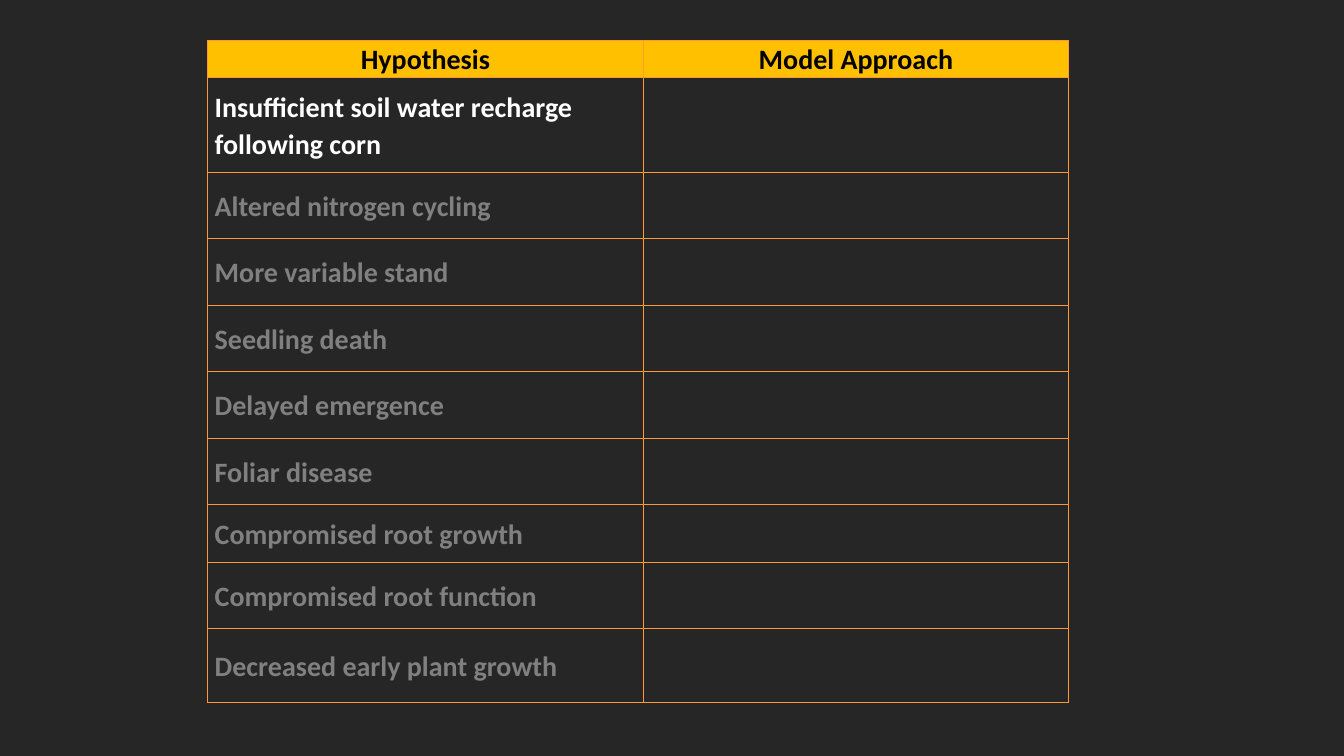
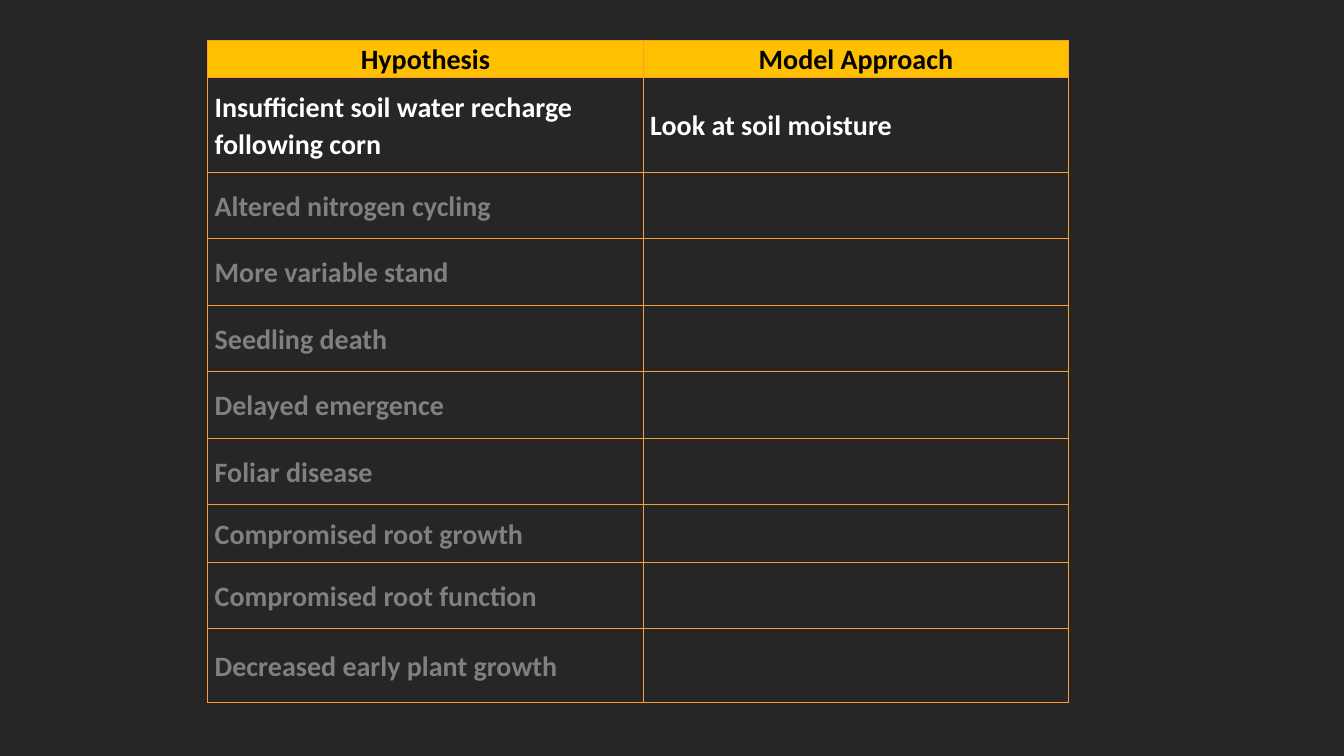
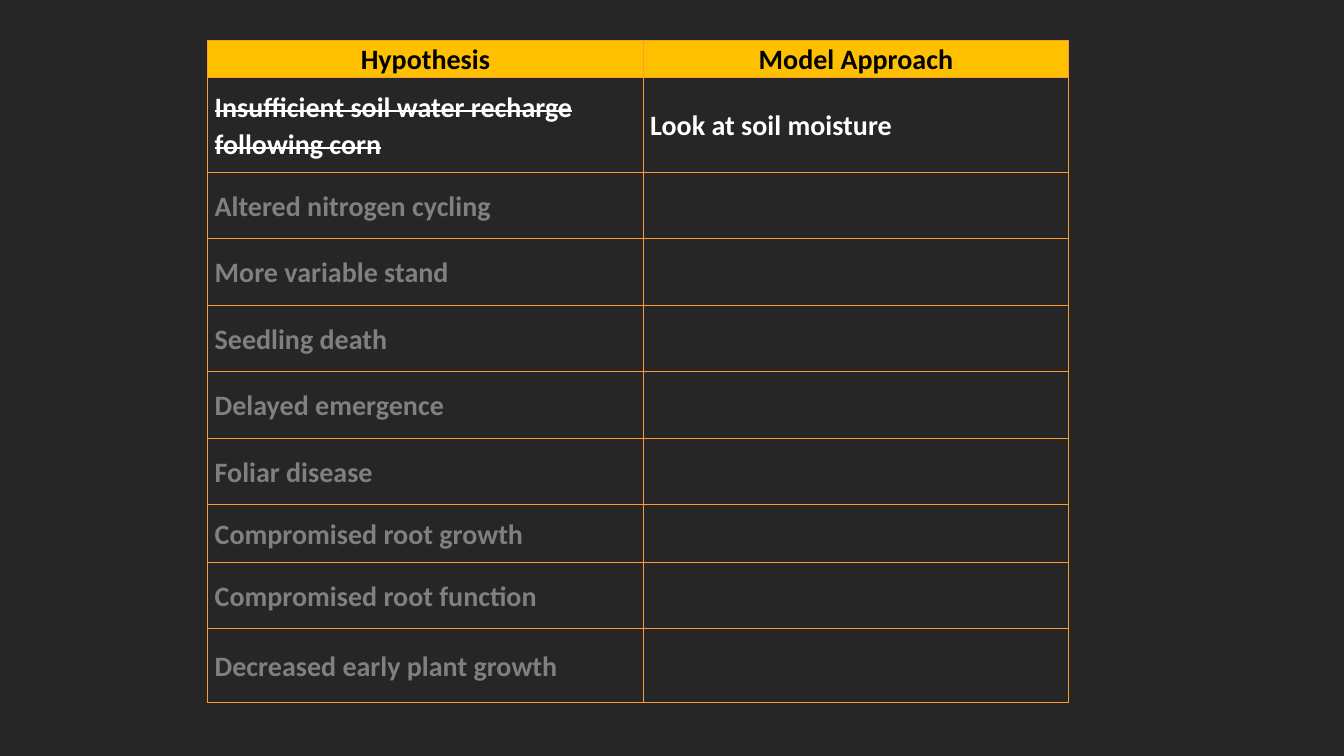
import pptx
import pptx.dml.color
import pptx.enum.text
import pptx.oxml
import pptx.oxml.ns
import pptx.util

BACKGROUND, HEADER, BORDER = "262626", "FFC000", "FF9933"
BLACK, WHITE, GREY = "000000", "FFFFFF", "808080"
COLUMN_WIDTHS = [4.32, 4.22]
ROW_HEIGHTS = [0.37, 0.94, *[0.66] * 5, 0.57, 0.66, 0.73]
HEADINGS = ["Hypothesis", "Model Approach"]
HYPOTHESES = [
    "Insufficient soil water recharge following corn",
    "Altered nitrogen cycling",
    "More variable stand",
    "Seedling death",
    "Delayed emergence",
    "Foliar disease",
    "Compromised root growth",
    "Compromised root function",
    "Decreased early plant growth",
]
APPROACH = "Look at soil moisture"


def color(value):
    """Turn a hex string into a colour."""
    return pptx.dml.color.RGBColor.from_string(value)


def paint(fill, value):
    """Give a fill one solid colour."""
    fill.solid()
    fill.fore_color.rgb = color(value)


def add_borders(cell):
    """Draw a thin line along the four sides of a cell."""
    properties = cell._tc.get_or_add_tcPr()
    for index, side in enumerate(["lnL", "lnR", "lnT", "lnB"]):
        line = pptx.oxml.parse_xml(
            f'<a:{side} {pptx.oxml.ns.nsdecls("a")} w="{pptx.util.Pt(1)}">'
            f'<a:solidFill><a:srgbClr val="{BORDER}"/></a:solidFill></a:{side}>'
        )
        properties.insert(index, line)


def format_cell(cell, fill=None):
    """Set the margins, anchor, fill and borders of a cell."""
    cell.margin_left = cell.margin_right = pptx.util.Inches(0.07)
    cell.margin_top = cell.margin_bottom = 0
    cell.vertical_anchor = pptx.enum.text.MSO_ANCHOR.MIDDLE
    if fill:
        paint(cell.fill, fill)
    else:
        cell.fill.background()
    add_borders(cell)


def write_cell(cell, text, text_color, centered=False, struck=False):
    """Write one bold paragraph in a cell."""
    paragraph = cell.text_frame.paragraphs[0]
    paragraph.line_spacing = 1.07
    paragraph.space_after = pptx.util.Pt(8)
    if centered:
        paragraph.alignment = pptx.enum.text.PP_ALIGN.CENTER
    font = paragraph.font
    font.name, font.size, font.bold = "Calibri", pptx.util.Pt(20), True
    font.color.rgb = color(text_color)
    run = paragraph.add_run()
    run.text = text
    if struck:
        run._r.get_or_add_rPr().set("strike", "sngStrike")


def add_hypothesis_table(slide, approach, struck):
    """Add the table of hypotheses with the first one highlighted."""
    table = slide.shapes.add_table(
        len(ROW_HEIGHTS), len(COLUMN_WIDTHS),
        pptx.util.Inches(2.06), pptx.util.Inches(0.4),
        pptx.util.Inches(sum(COLUMN_WIDTHS)), pptx.util.Inches(sum(ROW_HEIGHTS)),
    ).table
    table.first_row = table.horz_banding = False
    for column, width in zip(table.columns, COLUMN_WIDTHS):
        column.width = pptx.util.Inches(width)
    for row, height in zip(table.rows, ROW_HEIGHTS):
        row.height = pptx.util.Inches(height)
    for cell in table.iter_cells():
        format_cell(cell)
    for cell, heading in zip(table.rows[0].cells, HEADINGS):
        paint(cell.fill, HEADER)
        write_cell(cell, heading, BLACK, centered=True)
    for index, hypothesis in enumerate(HYPOTHESES, 1):
        active = index == 1
        write_cell(table.cell(index, 0), hypothesis, WHITE if active else GREY,
                   struck=struck and active)
    if approach:
        write_cell(table.cell(1, 1), approach, WHITE)


def main():
    """Build the three steps of the hypothesis table."""
    presentation = pptx.Presentation()
    presentation.slide_width = pptx.util.Inches(13.33)
    presentation.slide_height = pptx.util.Inches(7.5)
    for approach, struck in [(None, False), (APPROACH, False), (APPROACH, True)]:
        slide = presentation.slides.add_slide(presentation.slide_layouts[6])
        paint(slide.background.fill, BACKGROUND)
        add_hypothesis_table(slide, approach, struck)
    presentation.save("out.pptx")


if __name__ == "__main__":
    main()
